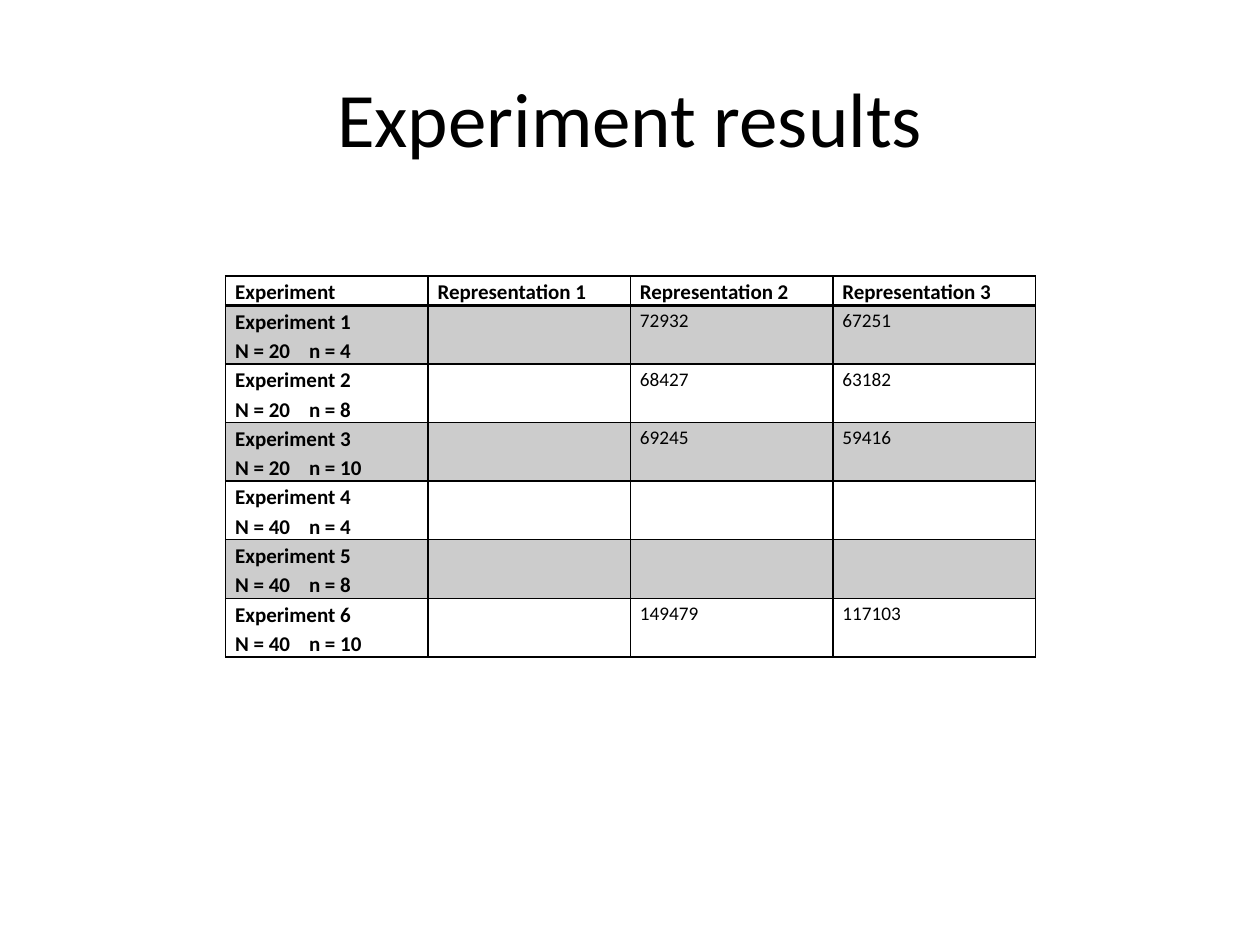
import pptx
import pptx.util
import pptx.dml.color
import pptx.enum.text
import pptx.oxml.ns
import lxml.etree

Cm, Pt = pptx.util.Cm, pptx.util.Pt
COLORS = {"ink": "000000", "band": "CCCCCC"}
FONT = "Calibri"


def style(p, size, bold=False):
    for r in p.runs:
        r.font.name = FONT
        r.font.size = Pt(size)
        r.font.bold = bold
        r.font.color.rgb = pptx.dml.color.RGBColor.from_string(COLORS["ink"])


def add_border(tc_pr, side, width):
    ln = lxml.etree.SubElement(tc_pr, pptx.oxml.ns.qn("a:ln" + side), w=str(Pt(width)))
    fill = lxml.etree.SubElement(ln, pptx.oxml.ns.qn("a:solidFill"))
    lxml.etree.SubElement(fill, pptx.oxml.ns.qn("a:srgbClr"), val=COLORS["ink"])


prs = pptx.Presentation()
prs.slide_width, prs.slide_height = Cm(25.4), Cm(19.05)
s = prs.slides.add_slide(prs.slide_layouts[6])

# Title
sp = s.shapes.add_textbox(Cm(1.27), Cm(0.76), Cm(22.86), Cm(3.18))
tf = sp.text_frame
tf.word_wrap = True
tf.vertical_anchor = pptx.enum.text.MSO_ANCHOR.MIDDLE
tf.text = "Experiment results"
p = tf.paragraphs[0]
p.alignment = pptx.enum.text.PP_ALIGN.CENTER
style(p, 44)

# Table content: N, n and the results of representations 2 and 3
experiments = [
    (20, 4, "72932", "67251"),
    (20, 8, "68427", "63182"),
    (20, 10, "69245", "59416"),
    (40, 4, "", ""),
    (40, 8, "", ""),
    (40, 10, "149479", "117103"),
]
rows = [["Experiment"] + [f"Representation {i}" for i in (1, 2, 3)]]
for i, (total, sample, second, third) in enumerate(experiments, 1):
    rows.append([f"Experiment {i}\nN = {total}\tn = {sample}", "", second, third])

# Table grid
header_h, row_h, col_w = Cm(0.6), Cm(1.18), Cm(4.08)
table = s.shapes.add_table(len(rows), 4, Cm(4.55), Cm(5.56), col_w * 4,
                           header_h + row_h * len(experiments)).table
table.first_row = table.horz_banding = False
for col in table.columns:
    col.width = col_w
for i, row in enumerate(table.rows):
    row.height = row_h if i else header_h

# Cells
for i, values in enumerate(rows):
    for j, value in enumerate(values):
        cell = table.cell(i, j)
        cell.margin_left = cell.margin_right = Cm(0.19)
        cell.margin_top = cell.margin_bottom = 0
        cell.text_frame.text = value
        heading = i == 0 or j == 0
        for p in cell.text_frame.paragraphs:
            p.line_spacing = 1.15
            style(p, 12 if heading else 11, heading)
            if "\t" in p.text:
                tabs = lxml.etree.SubElement(p._p.get_or_add_pPr(), pptx.oxml.ns.qn("a:tabLst"))
                lxml.etree.SubElement(tabs, pptx.oxml.ns.qn("a:tab"), pos=str(Cm(1.49)), algn="l")

        tc_pr = cell._tc.get_or_add_tcPr()
        for side in "LRTB":
            thick = (i, side) in ((0, "B"), (1, "T"))
            add_border(tc_pr, side, 2 if thick else 1)
        if i % 2:
            cell.fill.solid()
            cell.fill.fore_color.rgb = pptx.dml.color.RGBColor.from_string(COLORS["band"])
        else:
            cell.fill.background()

prs.save("out.pptx")
